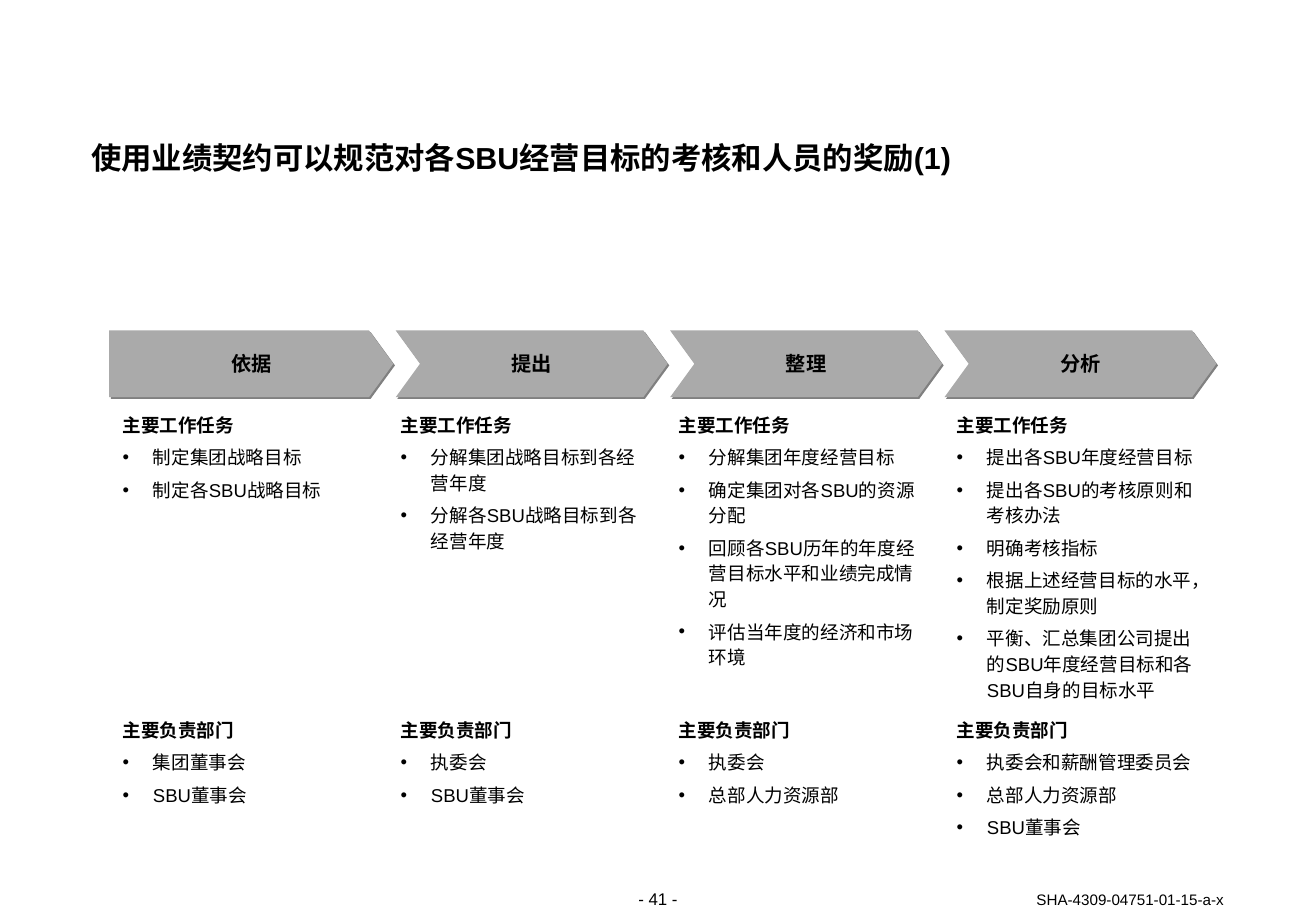
from dataclasses import dataclass

from lxml import etree
from pptx import Presentation
from pptx import util as u
from pptx.dml import color
from pptx.enum import text as t
from pptx.oxml import ns


@dataclass(frozen=True)
class Theme:
    font: str = "Arial"
    ink: str = "000000"
    fill: str = "AAAAAA"
    shade: str = "808080"
    title: int = 18
    step: int = 12
    body: int = 11
    page: int = 10
    code: int = 9


THEME = Theme()
TASK = "主要工作任务"
DEPT = "主要负责部门"
STEPS = [
    ("依据", ["制定集团战略目标", "制定各SBU战略目标"], ["集团董事会", "SBU董事会"]),
    ("提出", ["分解集团战略目标到各经营年度", "分解各SBU战略目标到各经营年度"],
     ["执委会", "SBU董事会"]),
    ("整理", ["分解集团年度经营目标", "确定集团对各SBU的资源分配",
            "回顾各SBU历年的年度经营目标水平和业绩完成情况", "评估当年度的经济和市场环境"],
     ["执委会", "总部人力资源部"]),
    ("分析", ["提出各SBU年度经营目标", "提出各SBU的考核原则和考核办法", "明确考核指标",
            "根据上述经营目标的水平，制定奖励原则",
            "平衡、汇总集团公司提出的SBU年度经营目标和各SBU自身的目标水平"],
     ["执委会和薪酬管理委员会", "总部人力资源部", "SBU董事会"]),
]


def add(node, tag, **attrs):
    return etree.SubElement(node, ns.qn(tag), attrs)


def write(frame, words, size, bold=False, align=t.PP_ALIGN.LEFT, lead=None,
          before=0, bullet=None, hang=0):
    para = frame.add_paragraph() if frame.text else frame.paragraphs[0]
    props = para._p.get_or_add_pPr()
    props.set("marL", str(u.Inches(hang)))
    props.set("indent", str(-u.Inches(hang)))
    if bullet:
        add(props, "a:buFont", typeface=THEME.font)
        add(props, "a:buChar", char=bullet)
    else:
        add(props, "a:buNone")
    para.alignment = align
    para.line_spacing = lead
    para.space_before = u.Pt(before)
    run = para.add_run()
    run.text = words
    font = run.font
    font.name = THEME.font
    font.size = u.Pt(size)
    font.bold = bold
    font.color.rgb = color.RGBColor.from_string(THEME.ink)


def setup(shape, anchor=t.MSO_ANCHOR.TOP, wrap=True):
    frame = shape.text_frame
    frame.margin_left = frame.margin_right = 0
    frame.margin_top = frame.margin_bottom = 0
    frame.auto_size = t.MSO_AUTO_SIZE.NONE
    frame.vertical_anchor = anchor
    frame.word_wrap = wrap
    return frame


def place(shape, left, top, width, height):
    shape.left, shape.top = u.Inches(left), u.Inches(top)
    shape.width, shape.height = u.Inches(width), u.Inches(height)
    return setup(shape)


def box(page, left, top, width, height):
    shape = page.shapes.add_textbox(0, 0, 0, 0)
    return place(shape, left, top, width, height)


def arrow(page, name, left, right, notch):
    top, high, tip = 2.72, 0.55, 0.2
    mid, base = top + high / 2, top + high
    points = [(right - tip, top), (right, mid), (right - tip, base), (left, base)]
    if notch:
        points.append((left + tip, mid))
    draw = page.shapes.build_freeform(u.Inches(left), u.Inches(top))
    draw.add_line_segments([(u.Inches(x), u.Inches(y)) for x, y in points])
    shape = draw.convert_to_shape()
    shape.fill.solid()
    shape.fill.fore_color.rgb = color.RGBColor.from_string(THEME.fill)
    shape.line.fill.background()
    shape.shadow.inherit = False
    glow = shape._element.spPr.find(ns.qn("a:effectLst"))
    drop = add(glow, "a:outerShdw", blurRad="0", dist=str(u.Pt(1.4)),
               dir="2700000", algn="ctr", rotWithShape="0")
    add(drop, "a:srgbClr", val=THEME.shade)
    write(setup(shape, t.MSO_ANCHOR.MIDDLE, False), name, THEME.step, bold=True,
          align=t.PP_ALIGN.CENTER, lead=u.Pt(14))


def items(frame, head, lines):
    write(frame, head, THEME.body, bold=True, lead=1.15)
    for line in lines:
        write(frame, line, THEME.body, lead=1.15, before=4.1, bullet="•", hang=0.25)


def main():
    deck = Presentation()
    deck.slide_width, deck.slide_height = u.Inches(10.84), u.Inches(7.5)
    page = deck.slides.add_slide(deck.slide_layouts[4])
    title, *bodies = page.placeholders
    write(place(title, 0.75, 1.17, 9.33, 0.28),
          "使用业绩契约可以规范对各SBU经营目标的考核和人员的奖励(1)",
          THEME.title, bold=True, lead=u.Pt(20))
    for i, ((name, tasks, depts), body) in enumerate(zip(STEPS, bodies)):
        right = 3.24 + 2.26 * i
        arrow(page, name, right - 2.24 if i else 0.9, right, i > 0)
        left = 1.01 + 2.29 * i
        items(place(body, left, 3.38, 2.08, 2.39), TASK, tasks)
        items(box(page, left, 5.89, 2.08, 1.02), DEPT, depts)
    write(box(page, 4.85, 7.32, 1.14, 0.17), "- 41 -", THEME.page,
          align=t.PP_ALIGN.CENTER)
    write(box(page, 7.64, 7.33, 2.44, 0.15), "SHA-4309-04751-01-15-a-x",
          THEME.code, align=t.PP_ALIGN.RIGHT, lead=u.Pt(11))
    deck.save("out.pptx")


if __name__ == "__main__":
    main()
